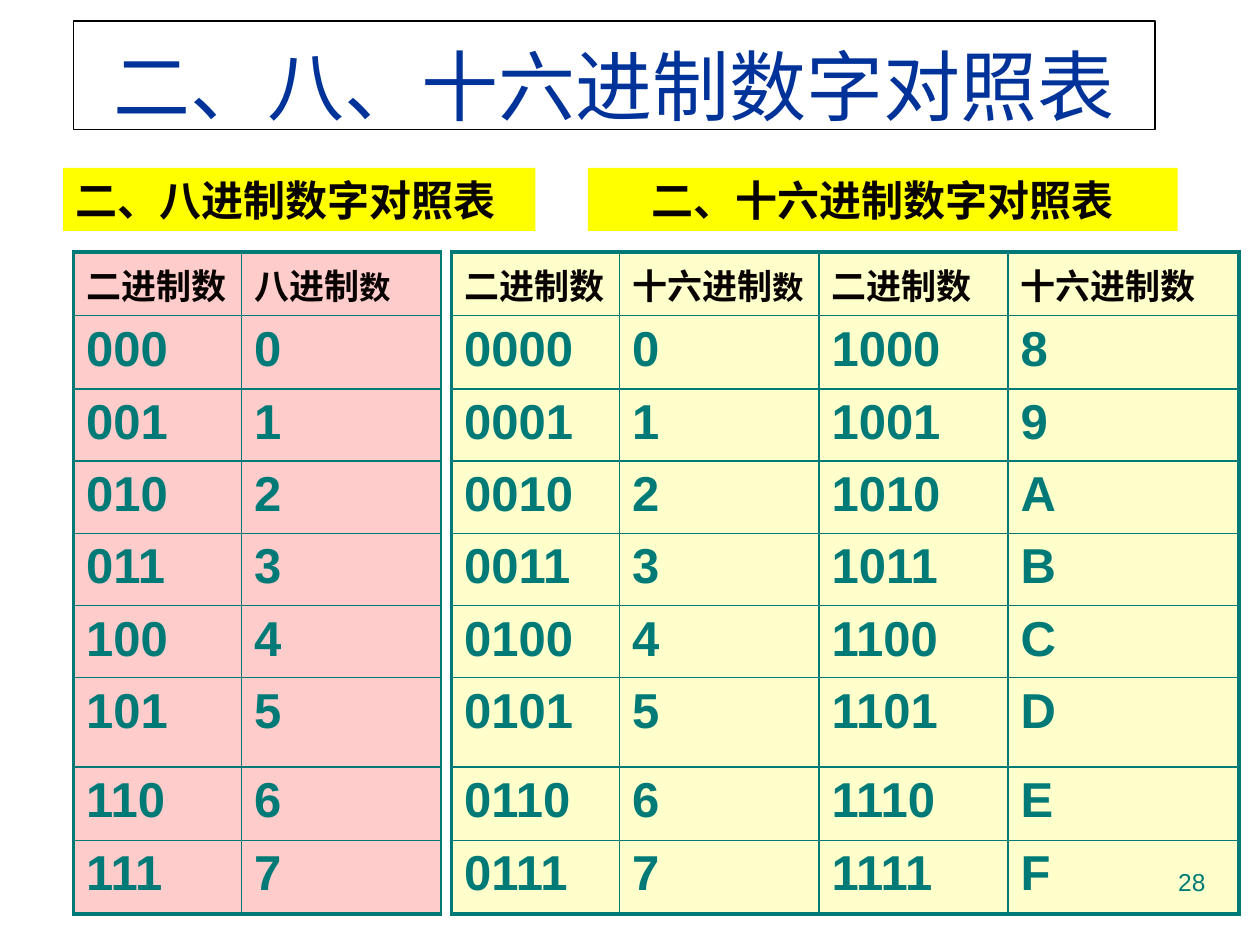
from lxml.etree import SubElement as Sub
from pptx import Presentation
from pptx.dml.color import RGBColor as RGB
from pptx.enum.shapes import MSO_SHAPE as Form
from pptx.enum.text import MSO_ANCHOR as Anchor, PP_ALIGN as Align
from pptx.oxml.ns import qn
from pptx.util import Pt

TEAL = RGB(0x00, 0x7A, 0x77)
INK = RGB(0x08, 0x03, 0x00)
BLUE = RGB(0x00, 0x33, 0x99)
BLACK = RGB(0x00, 0x00, 0x00)
WHITE = RGB(0xFF, 0xFF, 0xFF)
YELLOW = RGB(0xFF, 0xFF, 0x00)
CREAM = RGB(0xFF, 0xFF, 0xCC)
PINK = RGB(0xFF, 0xCC, 0xCC)
HAN = "Noto Sans CJK SC"


def write(par, text, color, **form):
    """Add a run with the font values in form; Chinese signs use HAN."""
    run = par.add_run()
    run.text = text
    for key, val in form.items():
        setattr(run.font, key, val)
    run.font.color.rgb = color
    Sub(run.font._element, qn("a:ea"), typeface=HAN)


def edge(cell, side, width):
    """Draw one border; side is L, R, T or B, in that order."""
    line = Sub(cell._tc.get_or_add_tcPr(), qn("a:ln" + side), w=str(Pt(width)))
    fill = Sub(line, qn("a:solidFill"))
    Sub(fill, qn("a:srgbClr"), val=str(TEAL))


deck = Presentation()
deck.slide_width, deck.slide_height = Pt(720), Pt(540)
slide = deck.slides.add_slide(deck.slide_layouts[6])
shapes = slide.shapes

# Title and the two yellow headings
title = dict(size=Pt(44), name=HAN, bold=False)
head = dict(size=Pt(24), name="Times New Roman", bold=True)
boxes = [
    ("二、八、十六进制数字对照表", (42, 12, 618, 62), WHITE, BLUE, Align.CENTER, title),
    ("二、八进制数字对照表", (36, 96, 270, 36), YELLOW, INK, Align.LEFT, head),
    ("二、十六进制数字对照表", (336, 96, 337, 36), YELLOW, INK, Align.CENTER, head),
]
for text, place, back, color, align, form in boxes:
    box = shapes.add_shape(Form.RECTANGLE, *map(Pt, place))
    box.shadow.inherit = False
    box.fill.solid()
    box.fill.fore_color.rgb = back
    frame = box.text_frame
    frame.word_wrap = True
    frame.vertical_anchor = Anchor.MIDDLE
    par = frame.paragraphs[0]
    par.alignment = align
    if form is title:
        box.line.color.rgb = BLACK
        box.line.width = Pt(0.75)
        par.line_spacing = 1.2
    else:
        box.line.fill.background()
    write(par, text, color, **form)

# Number tables: each header is a list of (text, size) runs
binary = [("二进制数", 20)]
hexa = [[f"{n:04b}", f"{n:X}", f"{n + 8:04b}", f"{n + 8:X}"] for n in range(8)]
octal = [[f"{n:03b}", f"{n:o}"] for n in range(8)]
widths = [96, 114, 108, 132]
heights = [36, 42] + [41.25] * 4 + [51, 42, 42]
tables = [
    (258, CREAM, 2.25, hexa,
     [binary, [("十六进制", 20), ("数", 18)], binary, [("十六进制数", 20)]]),
    (42, PINK, 1, octal, [binary, [("八进制", 20), ("数", 18)]]),
]
for left, back, right, body, heads in tables:
    rows = [heads] + [[[(text, 28)] for text in row] for row in body]
    cols = len(heads)
    table = shapes.add_table(len(rows), cols, Pt(left), Pt(144),
                             Pt(sum(widths[:cols])), Pt(sum(heights))).table
    table.first_row = table.horz_banding = False
    for col, width in zip(table.columns, widths):
        col.width = Pt(width)
    for row, height in zip(table.rows, heights):
        row.height = Pt(height)
    for r, row in enumerate(rows):
        for c, runs in enumerate(row):
            cell = table.cell(r, c)
            edge(cell, "L", 2.25 if c == 0 else 1)
            edge(cell, "R", right if c == cols - 1 else 1)
            edge(cell, "T", 2.25 if r == 0 else 1)
            edge(cell, "B", 2.25 if r == len(rows) - 1 else 1)
            cell.fill.solid()
            cell.fill.fore_color.rgb = back
            for text, size in runs:
                write(cell.text_frame.paragraphs[0], text, TEAL if r else INK,
                      size=Pt(size), name="Arial", bold=True)

# Page number
page = shapes.add_textbox(Pt(516), Pt(492), Pt(180), Pt(37.5)).text_frame
page.word_wrap = True
page.paragraphs[0].alignment = Align.RIGHT
write(page.paragraphs[0], "28", TEAL, size=Pt(14), name="Arial")

deck.save("out.pptx")
